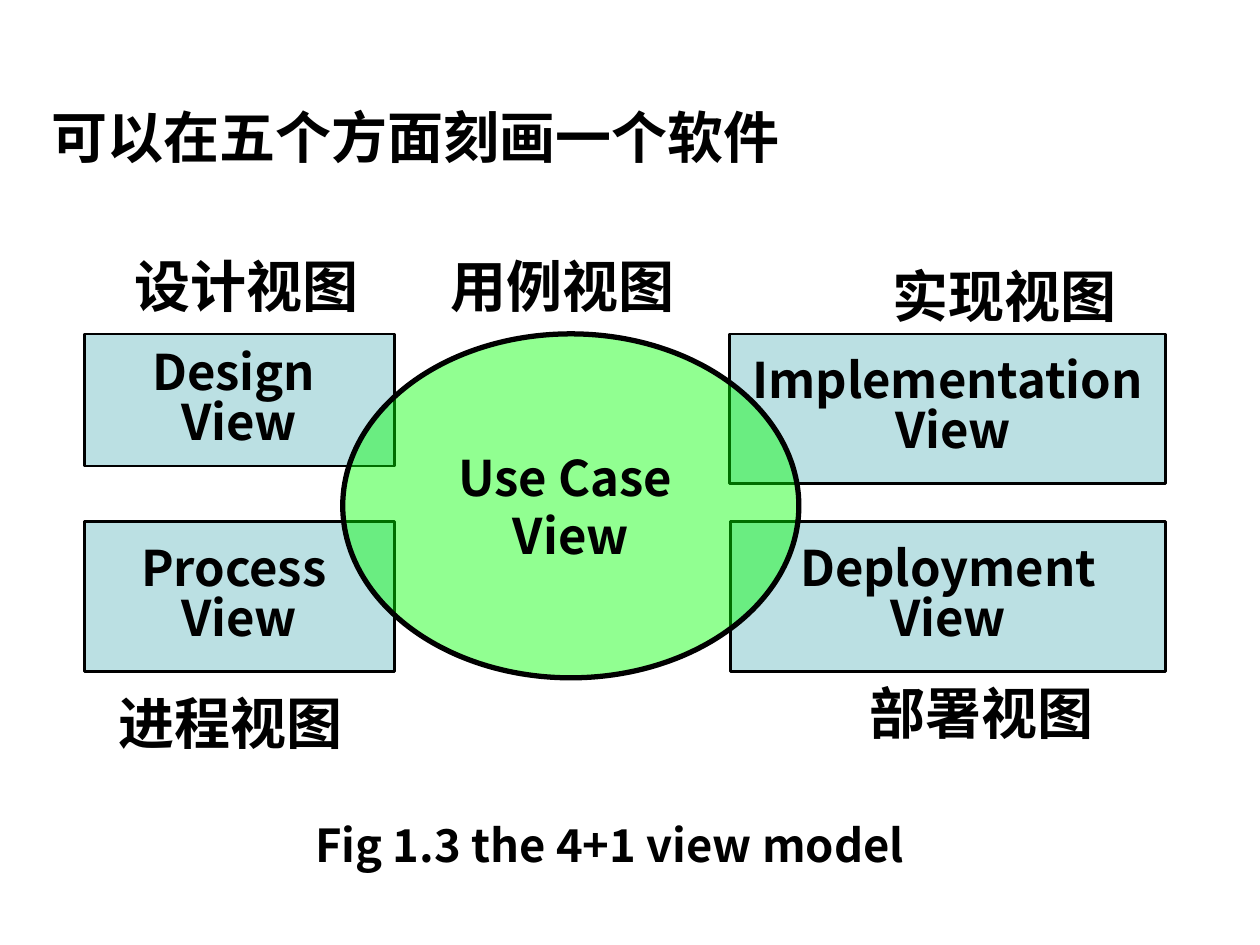
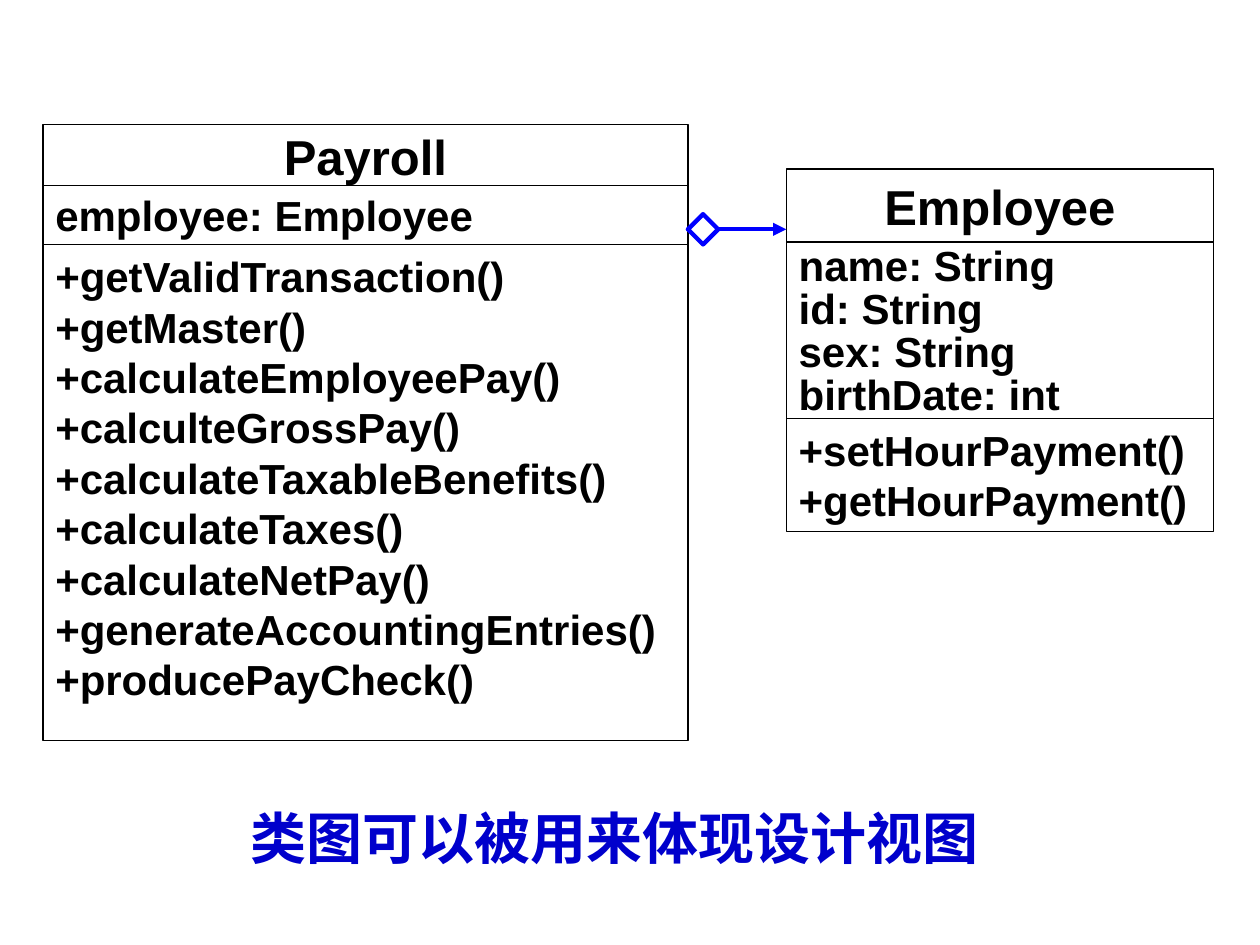
"""Build two slides: the 4+1 view model and a payroll class diagram."""
from lxml import etree
from pptx import Presentation
from pptx.dml.color import RGBColor
from pptx.enum.shapes import MSO_CONNECTOR, MSO_SHAPE
from pptx.enum.text import MSO_ANCHOR, MSO_AUTO_SIZE, PP_ALIGN
from pptx.oxml.ns import qn
from pptx.util import Inches, Pt

RECT, OVAL, DIAMOND = MSO_SHAPE.RECTANGLE, MSO_SHAPE.OVAL, MSO_SHAPE.DIAMOND
STRAIGHT = MSO_CONNECTOR.STRAIGHT
TOP, MIDDLE = MSO_ANCHOR.TOP, MSO_ANCHOR.MIDDLE
LEFT, CENTER = PP_ALIGN.LEFT, PP_ALIGN.CENTER
NO_FIT = MSO_AUTO_SIZE.NONE

BLACK = RGBColor(0x00, 0x00, 0x00)
WHITE = RGBColor(0xFF, 0xFF, 0xFF)
TEAL = RGBColor(0xBB, 0xE0, 0xE3)
GREEN = RGBColor(0x00, 0xFF, 0x00)
BLUE = RGBColor(0x00, 0x00, 0xFF)
NAVY = RGBColor(0x00, 0x00, 0xCC)
SANS, ARIAL = "Noto Sans CJK SC", "Arial"

TITLE = ("可以在五个方面刻画一个软件", (0.27, 0.76, 6.06, 0.64))
VIEWS = [
    (["Design ", "View"], (0.67, 2.65, 2.46, 1.05)),
    (["Implementation", " View"], (5.79, 2.65, 3.46, 1.19)),
    (["Process ", "View"], (0.67, 4.14, 2.46, 1.19)),
    (["Deployment", "View"], (5.8, 4.14, 3.45, 1.19)),
]
CASE = (["Use Case ", "View"], (2.72, 2.65, 3.62, 2.73))
LABELS = [
    ("设计视图", (0.78, 1.94, 2.35, 0.64), CENTER),
    ("实现视图", (6.69, 2.02, 2.57, 0.64), CENTER),
    ("进程视图", (0.71, 5.41, 2.24, 0.64), CENTER),
    ("部署视图", (6.56, 5.33, 2.46, 0.64), CENTER),
    ("用例视图", (3.48, 1.94, 2.14, 0.64), LEFT),
]
FIGURE = ("Fig 1.3 the 4+1 view model", (1.29, 6.51, 7.1, 0.47))
REMARK = ("类图可以被用来体现设计视图", (1.21, 6.31, 7.34, 0.67))

PAYROLL = {
    "left": 0.34, "width": 5.12,
    "name": ("Payroll", 0.99, 0.49),
    "fields": (["employee: Employee"], 1.47, 0.47, 1),
    "methods": ([
        "+getValidTransaction()", "+getMaster()", "+calculateEmployeePay()",
        "+calculteGrossPay()", "+calculateTaxableBenefits()",
        "+calculateTaxes()", "+calculateNetPay()",
        "+generateAccountingEntries()", "+producePayCheck()",
    ], 1.94, 3.94, TOP),
}
EMPLOYEE = {
    "left": 6.24, "width": 3.39,
    "name": ("Employee", 1.34, 0.58),
    "fields": (["name: String", "id: String", "sex: String",
                "birthDate: int"], 1.92, 1.45, 0.85),
    "methods": (["+setHourPayment()", "+getHourPayment()"],
                3.32, 0.9, MIDDLE),
}
NODE = (5.46, 1.7, 0.24, 0.24)


def write(shape, lines, size, font=SANS, color=BLACK, align=CENTER,
          space=1, anchor=MIDDLE, wrap=False):
    """Fill a shape with bold lines of text."""
    frame = shape.text_frame
    frame.text = "\n".join(lines)
    frame.auto_size = NO_FIT
    frame.word_wrap = wrap
    frame.vertical_anchor = anchor
    for para in frame.paragraphs:
        para.alignment = align
        para.line_spacing = space
        for run in para.runs:
            run.font.name = font
            run.font.size = Pt(size)
            run.font.bold = True
            run.font.color.rgb = color
            east = etree.SubElement(run.font._element, qn("a:ea"))
            east.set("typeface", font)


def place(slide, kind, box, fill, line, width):
    """Add a filled and outlined preset shape."""
    shape = slide.shapes.add_shape(kind, *map(Inches, box))
    shape.shadow.inherit = False
    shape.fill.solid()
    shape.fill.fore_color.rgb = fill
    shape.line.color.rgb = line
    shape.line.width = Pt(width)
    return shape


def label(slide, text, box, size=32, **style):
    """Add a one-line text box."""
    shape = slide.shapes.add_textbox(*map(Inches, box))
    write(shape, [text], size, wrap=True, **style)


def fade(shape, share):
    """Set the opacity of a solid fill in percent."""
    color = shape.fill._xPr.find(qn("a:solidFill"))[0]
    etree.SubElement(color, qn("a:alpha")).set("val", str(share * 1000))


def draw_class(slide, data):
    """Draw the three parts of a class box."""
    def part(top, height):
        box = (data["left"], top, data["width"], height)
        return place(slide, RECT, box, WHITE, BLACK, 0.75)

    name, top, height = data["name"]
    write(part(top, height), [name], 28, ARIAL)
    lines, top, height, space = data["fields"]
    write(part(top, height), lines, 24, ARIAL, align=LEFT, space=space)
    lines, top, height, anchor = data["methods"]
    write(part(top, height), lines, 24, ARIAL, align=LEFT, anchor=anchor)


def draw_link(slide):
    """Draw the aggregation link between the two classes."""
    node = place(slide, DIAMOND, NODE, WHITE, BLUE, 2.5)
    left, top, width, height = NODE
    mid = Inches(top + height / 2)
    link = slide.shapes.add_connector(
        STRAIGHT, Inches(left + width), mid, Inches(EMPLOYEE["left"]), mid)
    link.begin_connect(node, 3)
    link.line.color.rgb = BLUE
    link.line.width = Pt(2.5)
    etree.SubElement(link.line._get_or_add_ln(),
                     qn("a:tailEnd")).set("type", "triangle")
    etree.SubElement(link._element.spPr, qn("a:effectLst"))


def view_slide(deck):
    """Build the slide of the five views."""
    slide = deck.slides.add_slide(deck.slide_layouts[5])
    title = slide.shapes.title
    text, box = TITLE
    title.left, title.top, title.width, title.height = map(Inches, box)
    write(title, [text], 32, wrap=True)
    for lines, box in VIEWS:
        shape = place(slide, RECT, box, TEAL, BLACK, 1.5)
        write(shape, lines, 28, space=0.85)
    for text, box, align in LABELS:
        label(slide, text, box, align=align)
    lines, box = CASE
    oval = place(slide, OVAL, box, GREEN, BLACK, 3)
    fade(oval, 43)
    write(oval, lines, 28)
    label(slide, *FIGURE, size=25.9, space=0.8)


def class_slide(deck):
    """Build the slide of the class diagram."""
    slide = deck.slides.add_slide(deck.slide_layouts[6])
    for data in (PAYROLL, EMPLOYEE):
        draw_class(slide, data)
    draw_link(slide)
    label(slide, *REMARK, color=NAVY)


def main():
    """Build and save the deck."""
    deck = Presentation()
    deck.slide_width, deck.slide_height = Inches(10), Inches(7.5)
    view_slide(deck)
    class_slide(deck)
    deck.save("out.pptx")


if __name__ == "__main__":
    main()
